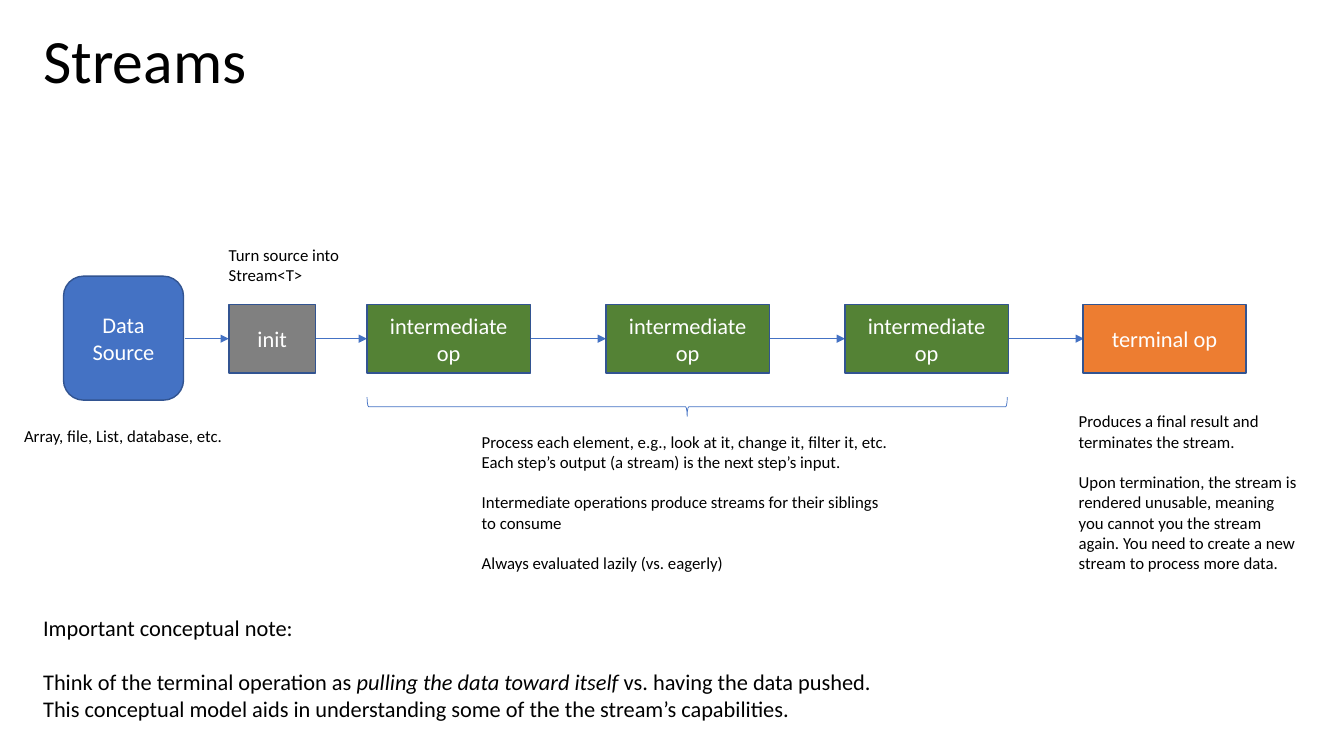
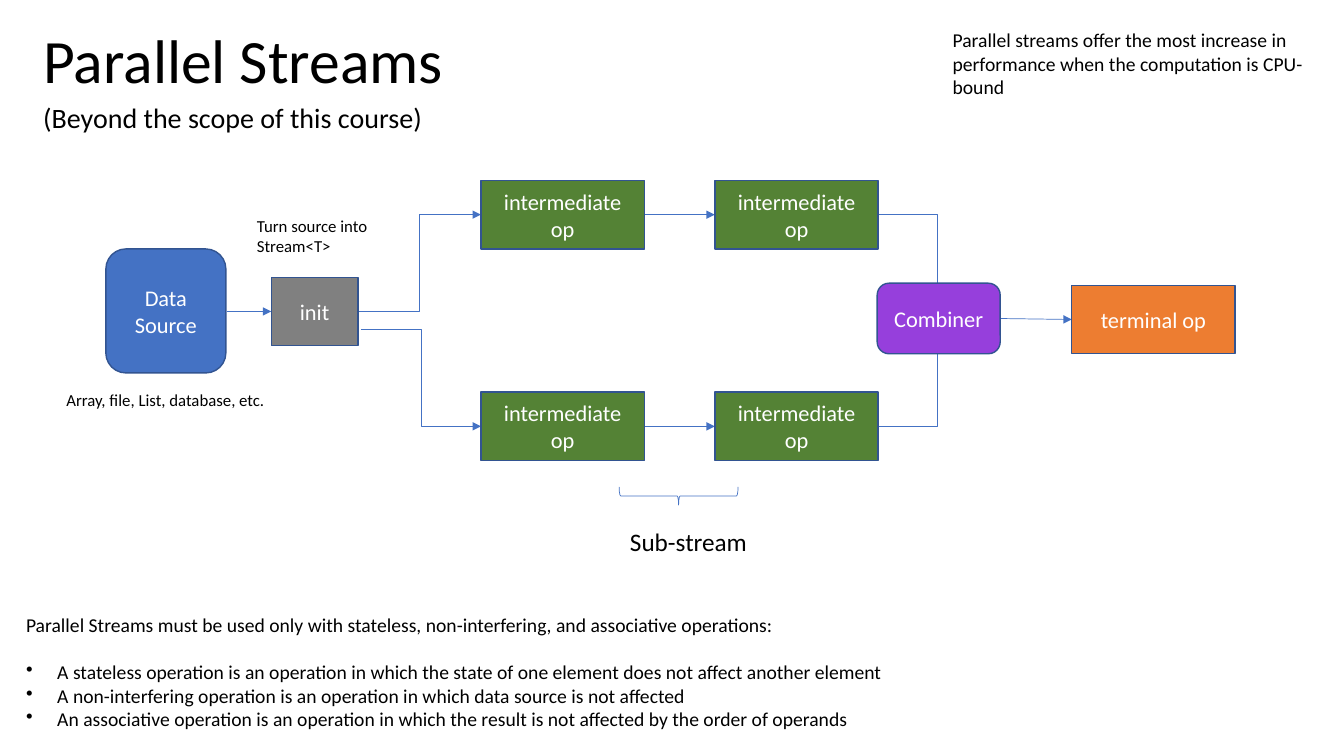
from pptx import Presentation
from pptx.dml.color import RGBColor
from pptx.enum.shapes import MSO_CONNECTOR, MSO_SHAPE
from pptx.enum.text import MSO_ANCHOR, MSO_AUTO_SIZE, PP_ALIGN
from pptx.oxml.ns import qn
from pptx.util import Inches, Pt
from lxml import etree

RECT, ROUND, BRACE = MSO_SHAPE.RECTANGLE, MSO_SHAPE.ROUNDED_RECTANGLE, MSO_SHAPE.RIGHT_BRACE
STRAIGHT, ELBOW = MSO_CONNECTOR.STRAIGHT, MSO_CONNECTOR.ELBOW
MIDDLE, LEFT, CENTER = MSO_ANCHOR.MIDDLE, PP_ALIGN.LEFT, PP_ALIGN.CENTER
FIXED = MSO_AUTO_SIZE.NONE

BLUE = RGBColor(0x44, 0x72, 0xC4)
NAVY = RGBColor(0x32, 0x54, 0x91)
GRAY = RGBColor(0x80, 0x80, 0x80)
GREEN = RGBColor(0x54, 0x82, 0x35)
ORANGE = RGBColor(0xED, 0x7D, 0x31)
PURPLE = RGBColor(0x96, 0x3F, 0xDC)
WHITE = RGBColor(0xFF, 0xFF, 0xFF)
BLACK = RGBColor(0, 0, 0)
FONT = "Calibri"
CELL = Inches(0.1)
LEADING = 1.22
INDENT = Inches(0.31)

SOURCE, INIT, STEP, FINAL, JOIN = "Data Source", "init", "intermediate op", "terminal op", "Combiner"
KINDS = {
    SOURCE: (ROUND, BLUE, 11.9, 12.3),
    INIT: (RECT, GRAY, 8.6, 6.8),
    STEP: (RECT, GREEN, 16.2, 6.8),
    FINAL: (RECT, ORANGE, 16.2, 6.8),
    JOIN: (ROUND, PURPLE, 12.2, 7),
}
FEEDS = "Array, file, List, database, etc."
TURN = "Turn source into Stream<T>"


def grid(*cells):
    return [int(cell * CELL) for cell in cells]


def style(para, size, color, align=LEFT):
    para.font.name = FONT
    para.font.size = Pt(size)
    para.font.color.rgb = color
    para.alignment = align


chain = [36.4 + 23.7 * n for n in range(3)]
cols, rows = (47.7, 70.9), (17.9, 38.9)
half = 3.4

pages = [
    {
        "title": "Streams",
        "start": (6.3, 27.4),
        "nodes": [(STEP, x, 30.2) for x in chain] + [(FINAL, 107.4, 30.2)],
        "wires": [(31.3, 33.6, 36.4, 33.6, "", True)]
        + [(x + 16.2, 33.6, x + 23.7, 33.6, "", True) for x in chain],
        "brace": (67.2, 8.6, 1.9, 63.5),
        "notes": [
            (46.8, 42.3, 42.7, 15.1, 12, [
                ["Process each element, e.g., look at it, change it, filter it, etc.",
                 "Each step’s output (a stream) is the next step’s input."],
                ["Intermediate operations produce streams for their siblings to consume"],
                ["Always evaluated lazily (vs. eagerly)"]]),
            (106, 40.3, 24.1, 17.2, 12, [
                ["Produces a final result and terminates the stream."],
                ["Upon termination, the stream is rendered unusable, meaning you cannot you "
                 "the stream again. You need to create a new stream to process more data."]]),
            (21.7, 23.8, 16.2, 5, 12, [[TURN]]),
            (1.4, 41.7, 21.7, 3, 12, [[FEEDS]]),
            (3.3, 60.4, 85.6, 11.8, 16, [
                ["Important conceptual note:"],
                ["Think of the terminal operation as *pulling the data toward itself* vs. having "
                 "the data pushed. This conceptual model aids in understanding some of the the "
                 "stream’s capabilities."]]),
        ],
    },
    {
        "title": "Parallel Streams",
        "start": (10.5, 24.7),
        "nodes": [(STEP, x, y) for x in cols for y in rows]
        + [(JOIN, 87, 28.1), (FINAL, 106.3, 28.3)],
        "wires": [(cols[0] + 16.2, y + half, cols[1], y + half, "", True) for y in rows]
        + [
            (99.2, 31.6, 106.3, 31.7, "", True),
            (35.5, 30.9, cols[0], rows[0] + half, "bentConnector3", True),
            (35.8, 32.7, cols[0], rows[1] + half, "bentConnector3", True),
            (87, rows[0] + half, 93, 30.9, "bentConnector2", False),
            (87, rows[1] + half, 93, 33.8, "bentConnector2", False),
        ],
        "brace": (66.4, 43.3, 1.8, 11.8),
        "notes": [
            (24.5, 20.9, 16.2, 5, 12, [[TURN]]),
            (5.6, 38.2, 21.7, 3, 12, [[FEEDS]]),
            (61.5, 51.7, 14, 4, 18, [["Sub-stream"]]),
            (1.6, 60.3, 87.4, 12.8, 14, [
                ["Parallel Streams must be used only with stateless, non-interfering, and "
                 "associative operations:"],
                ["• A stateless operation is an operation in which the state of one element "
                 "does not affect another element",
                 "• A non-interfering operation is an operation in which data source is not affected",
                 "• An associative operation is an operation in which the result is not affected "
                 "by the order of operands"]]),
            (3.3, 9.5, 54.3, 4.4, 20, [["(Beyond the scope of this course)"]]),
            (93.5, 2.3, 41.6, 8.1, 14, [
                ["Parallel streams offer the most increase in performance when the computation "
                 "is CPU-bound"]]),
        ],
    },
]

deck = Presentation()
deck.slide_width, deck.slide_height = Inches(13.33), Inches(7.5)

for page in pages:
    slide = deck.slides.add_slide(deck.slide_layouts[5])
    shapes = slide.shapes
    title = shapes.title
    title.left, title.top, title.width, title.height = grid(3.3, 2.2, 115, 8.2)
    title.text_frame.text = page["title"]
    title.text_frame.vertical_anchor = MIDDLE
    title.text_frame.auto_size = FIXED
    style(title.text_frame.paragraphs[0], 44, BLACK)
    title.text_frame.paragraphs[0].line_spacing = 0.9

    left, top = page["start"]
    nodes = [(SOURCE, left, top), (INIT, left + 16.4, top + 2.8)] + page["nodes"]
    link = (left + 12, top + 6.2, left + 16.4, top + 6.2, "", True)

    for *ends, bend, arrow in [link] + page["wires"]:
        wire = shapes.add_connector(ELBOW if bend else STRAIGHT, *grid(*ends))
        wire.line.color.rgb = BLUE
        wire.line.width = Pt(0.5)
        props = wire._element.spPr
        if bend:
            props.find(qn("a:prstGeom")).set("prst", bend)
        if arrow:
            etree.SubElement(wire.line._get_or_add_ln(), qn("a:tailEnd"), type="triangle")
        etree.SubElement(props, qn("a:effectLst"))

    for name, x, y in nodes:
        kind, fill, width, height = KINDS[name]
        node = shapes.add_shape(kind, *grid(x, y, width, height))
        node.shadow.inherit = False
        node.fill.solid()
        node.fill.fore_color.rgb = fill
        node.line.color.rgb = NAVY
        node.line.width = Pt(1)
        node.text_frame.text = name
        node.text_frame.vertical_anchor = MIDDLE
        style(node.text_frame.paragraphs[0], 16, WHITE, CENTER)

    brace = shapes.add_shape(BRACE, *grid(*page["brace"]))
    brace.rotation = 90
    brace.shadow.inherit = False
    brace.fill.background()
    brace.line.color.rgb = BLUE
    brace.line.width = Pt(0.5)

    for *area, size, blocks in page["notes"]:
        frame = shapes.add_textbox(*grid(*area)).text_frame
        frame.word_wrap = True
        para = frame.paragraphs[0]
        for b, block in enumerate(blocks):
            for n, line in enumerate(block):
                if b or n:
                    para = frame.add_paragraph()
                style(para, size, BLACK)
                if b and not n:
                    para.space_before = Pt(round(size * LEADING, 1))
                if line.startswith("• "):
                    props = para._p.get_or_add_pPr()
                    props.set("marL", str(INDENT))
                    props.set("indent", str(-INDENT))
                    mark = etree.Element(qn("a:buChar"), char="•")
                    props.find(qn("a:defRPr")).addprevious(mark)
                for r, part in enumerate(line.removeprefix("• ").split("*")):
                    run = para.add_run()
                    run.text = part
                    if r % 2:
                        run.font.italic = True

deck.save("out.pptx")
